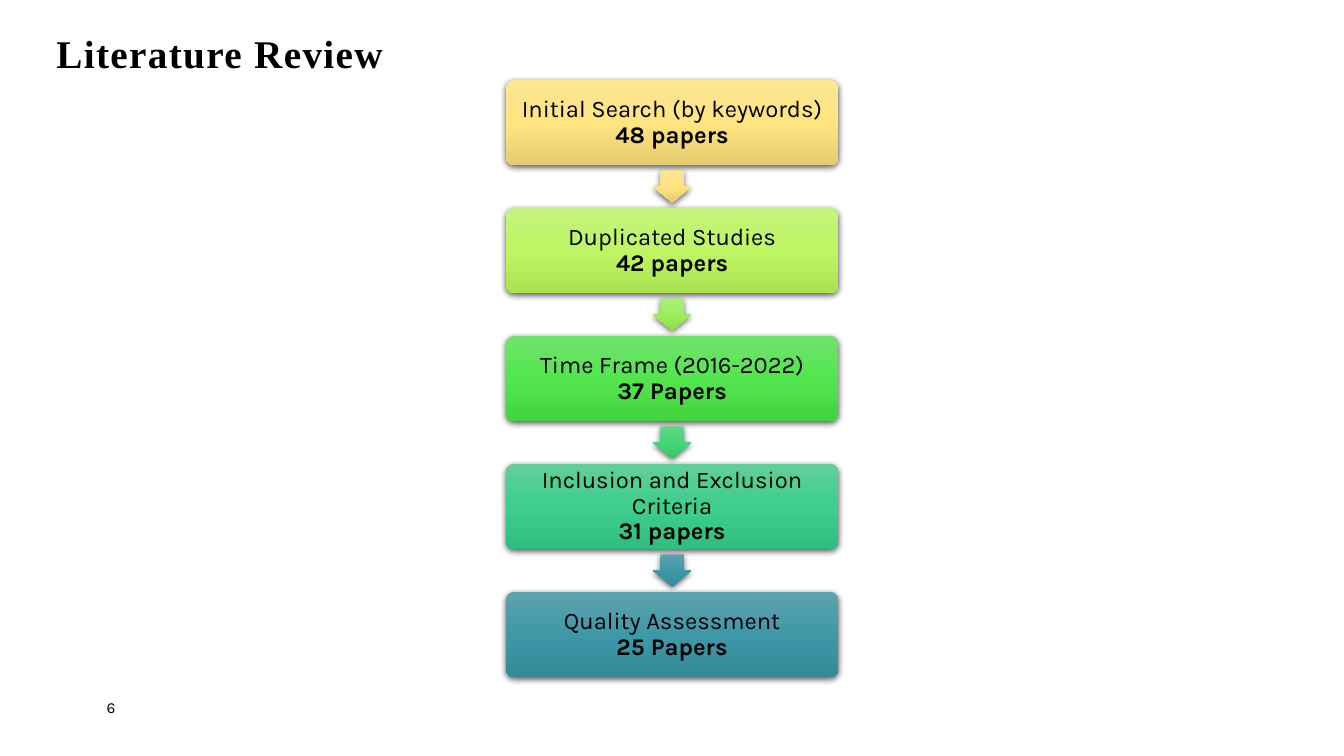
import copy

import pptx
import pptx.dml.color
import pptx.enum.shapes
import pptx.enum.text
import pptx.oxml
import pptx.oxml.ns
import pptx.util

Cm = pptx.util.Cm
Pt = pptx.util.Pt
Shapes = pptx.enum.shapes.MSO_SHAPE
Anchor = pptx.enum.text.MSO_ANCHOR
Align = pptx.enum.text.PP_ALIGN
qn = pptx.oxml.ns.qn

COLOURS = {
    "text": "000000",
    "yellow": ("FDE694", "FFE480", "E5CC6F"),
    "lime": ("C5F27E", "BEF663", "ABE250"),
    "light green": ("A7EE77", "9BF05C", "89DE49"),
    "green": ("70E36D", "53E54E", "43D33D"),
    "emerald": ("65D689", "43D677", "34C668"),
    "mint": ("62CE99", "3ECE8D", "30BE7E"),
    "teal": ("60A2AE", "3F98A7", "348A98"),
}
# Step, papers left, box colour, colour of the arrow that follows
STEPS = [
    ("Initial Search (by keywords)", "48 papers", "yellow", "yellow"),
    ("Duplicated Studies", "42 papers", "lime", "light green"),
    ("Time Frame (2016-2022)", "37 Papers", "green", "emerald"),
    ("Inclusion and Exclusion Criteria", "31 papers", "mint", "teal"),
    ("Quality Assessment", "25 Papers", "teal", None),
]
SHADOW = (
    '<a:outerShdw xmlns:a="http://schemas.openxmlformats.org/drawingml/2006/main" '
    'blurRad="57150" dist="19050" dir="5400000" algn="ctr" rotWithShape="0">'
    '<a:srgbClr val="000000"><a:alpha val="63000"/></a:srgbClr></a:outerShdw>'
)


def add_span(para, text, size, font="Karla", bold=False):
    span = para.add_run()
    span.text = text
    span.font.name = font
    span.font.size = Pt(size)
    span.font.bold = bold
    span.font.color.rgb = pptx.dml.color.RGBColor.from_string(COLOURS["text"])
    return span


def prepare_frame(frame, inset, anchor):
    frame.word_wrap = True
    frame.auto_size = pptx.enum.text.MSO_AUTO_SIZE.NONE
    frame.vertical_anchor = anchor
    frame.margin_left = frame.margin_right = inset
    frame.margin_top = frame.margin_bottom = inset
    return frame.paragraphs[0]


def add_glossy_shape(page, kind, box, colour, adjustments):
    """Add a borderless shape with a three-stop vertical gradient and a shadow."""
    shape = page.shapes.add_shape(kind, *box)
    for index, value in enumerate(adjustments):
        shape.adjustments[index] = value
    shape.line.fill.background()
    shape.fill.gradient()
    shape.fill.gradient_angle = 270
    properties = shape._element.spPr
    stops = properties.find(qn("a:gradFill")).find(qn("a:gsLst"))
    middle = copy.deepcopy(stops[0])
    middle.set("pos", "50000")
    stops.insert(1, middle)
    for stop, value in zip(shape.fill.gradient_stops, COLOURS[colour]):
        stop.color.rgb = pptx.dml.color.RGBColor.from_string(value)
    shape.shadow.inherit = False
    properties.find(qn("a:effectLst")).append(pptx.oxml.parse_xml(SHADOW))
    return shape


def add_title(page, box, text):
    title = page.shapes.title
    title.left, title.top, title.width, title.height = box
    para = prepare_frame(title.text_frame, 0, Anchor.BOTTOM)
    para.alignment = Align.LEFT
    para.line_spacing = 0.9
    span = add_span(para, text, 28, "Times New Roman", True)
    span.font._element.set("spc", "100")


def add_page_number(page, box, text):
    frame = page.shapes.add_textbox(*box).text_frame
    add_span(prepare_frame(frame, 0, Anchor.TOP), text, 11)


def add_step(page, box, label, count, colour):
    shape = add_glossy_shape(page, Shapes.ROUNDED_RECTANGLE, box, colour, [0.1])
    para = prepare_frame(shape.text_frame, Cm(0.24), Anchor.MIDDLE)
    para.alignment = Align.CENTER
    para.line_spacing = 0.9
    add_span(para, label, 17)
    para.add_line_break()
    add_span(para, count, 17, bold=True)


def add_selection_flow(page, box):
    """Stack the steps evenly in the box, with an arrow centred in each gap."""
    left, top, width, height = box
    step_height = Cm(2.16)
    arrow_width, arrow_height = Cm(0.97), Cm(0.81)
    pitch = (height - step_height) // (len(STEPS) - 1)
    arrow_left = left + (width - arrow_width) // 2
    arrow_offset = (pitch + step_height - arrow_height) // 2
    for index, (label, count, colour, arrow_colour) in enumerate(STEPS):
        step_top = top + index * pitch
        add_step(page, (left, step_top, width, step_height), label, count, colour)
        if arrow_colour:
            arrow_box = (arrow_left, step_top + arrow_offset, arrow_width, arrow_height)
            add_glossy_shape(page, Shapes.DOWN_ARROW, arrow_box, arrow_colour, [0.6, 0.5])


def main():
    deck = pptx.Presentation()
    deck.slide_width, deck.slide_height = Cm(33.87), Cm(19.05)
    page = deck.slides.add_slide(deck.slide_layouts.get_by_name("Title Only"))
    add_title(page, (Cm(1.42), Cm(0.76), Cm(18.97), Cm(1.17)), "Literature Review")
    add_page_number(page, (Cm(2.69), Cm(17.58), Cm(1.45), Cm(0.69)), "6")
    add_selection_flow(page, (Cm(12.75), Cm(2.01), Cm(8.38), Cm(15.06)))
    deck.save("out.pptx")


if __name__ == "__main__":
    main()
